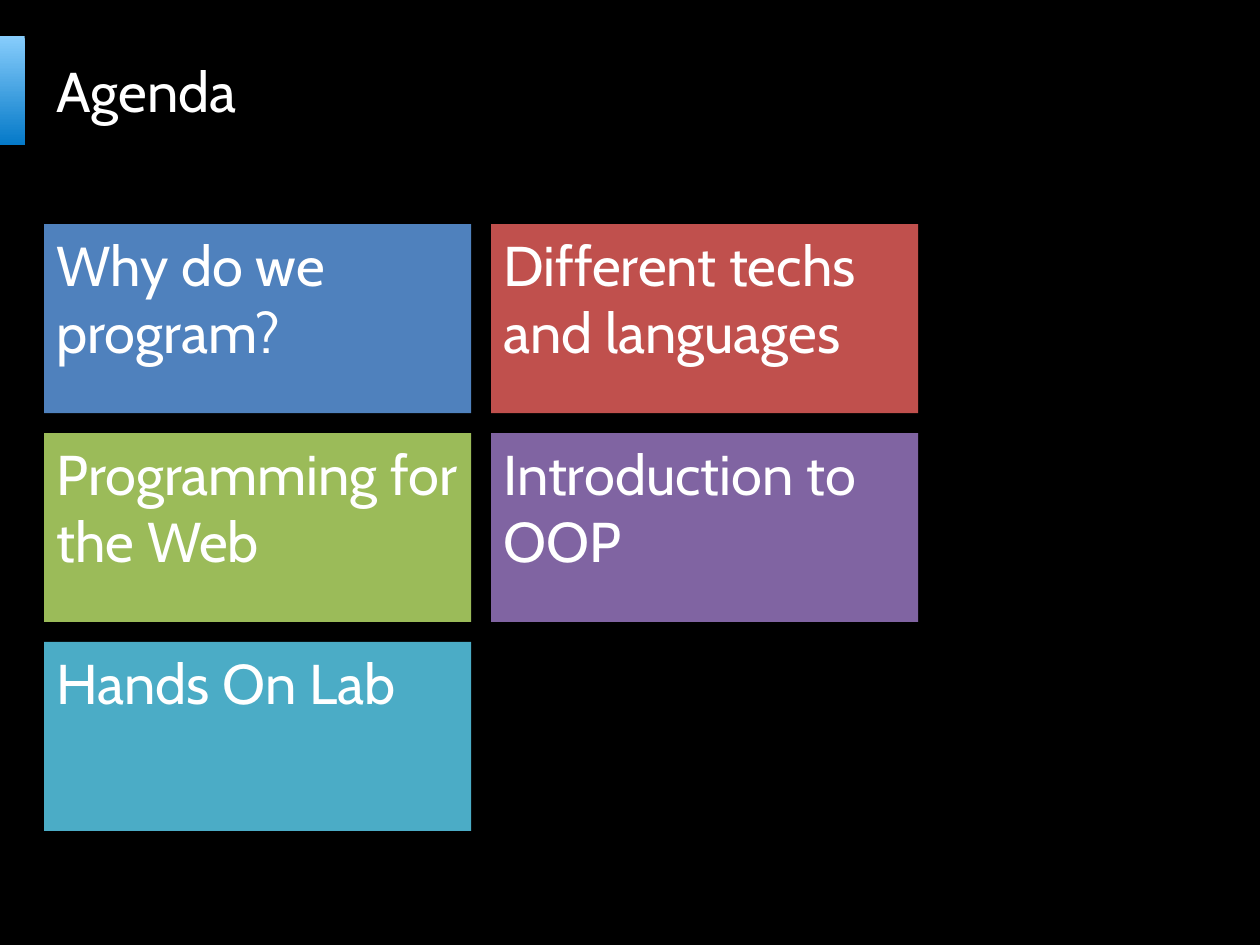
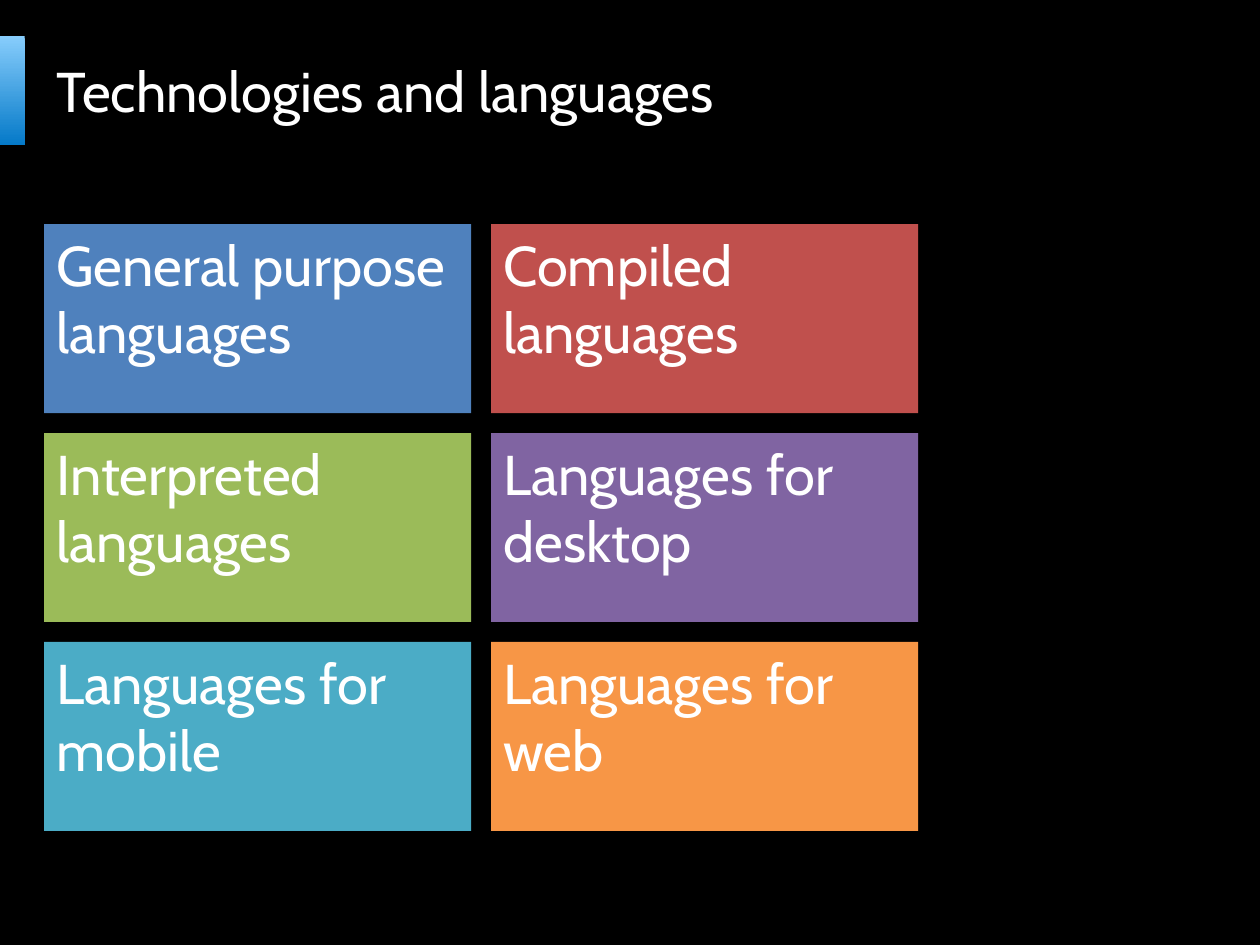
"""Builds two title slides with a grid of coloured tiles."""
import dataclasses

import pptx
import pptx.dml.color
import pptx.enum.shapes
import pptx.enum.text
import pptx.util

Cm = pptx.util.Cm
RGB = pptx.dml.color.RGBColor.from_string

SLIDES = [
    ("Agenda", [
        "Why do we program?",
        "Different techs and languages",
        "Programming for the Web",
        "Introduction to OOP",
        "Hands On Lab",
    ]),
    ("Technologies and languages", [
        "General purpose languages",
        "Compiled languages",
        "Interpreted languages",
        "Languages for desktop",
        "Languages for mobile",
        "Languages for web",
    ]),
]


@dataclasses.dataclass(frozen=True)
class Theme:
    font: str = "Cabin"
    size: int = 32
    ink: str = "FFFFFF"
    back: str = "000000"
    band: tuple = ("87CDFC", "0479C8")
    tiles: tuple = ("4F81BD", "C0504D", "9BBB59", "8064A2", "4BACC6", "F79646")


THEME = Theme()
LEFT, TOP = 0.89, 4.52
WIDE, HIGH, GAP = 8.61, 3.81, 0.4
COLS = 2


def write(shape, text, anchor):
    frame = shape.text_frame
    frame.text = text
    frame.word_wrap = True
    frame.vertical_anchor = anchor
    para = frame.paragraphs[0]
    para.alignment = pptx.enum.text.PP_ALIGN.LEFT
    para.font.name = THEME.font
    para.font.size = pptx.util.Pt(THEME.size)
    para.font.color.rgb = RGB(THEME.ink)


def add_box(slide, left, top, wide, high):
    box = slide.shapes.add_shape(
        pptx.enum.shapes.MSO_SHAPE.RECTANGLE,
        Cm(left), Cm(top), Cm(wide), Cm(high))
    box.shadow.inherit = False
    box.line.fill.background()
    return box


def add_band(slide):
    fill = add_box(slide, 0, 0.73, 0.5, 2.2).fill
    fill.gradient()
    fill.gradient_angle = 270
    for stop, tone in zip(fill.gradient_stops, THEME.band):
        stop.color.rgb = RGB(tone)
        stop.position = THEME.band.index(tone)


def add_title(slide, text):
    title = slide.shapes.title
    title.left, title.top = Cm(LEFT), Cm(0.74)
    title.width, title.height = Cm(18), Cm(2.16)
    write(title, text, pptx.enum.text.MSO_ANCHOR.MIDDLE)


def add_tiles(slide, topics):
    for spot, (topic, tone) in enumerate(zip(topics, THEME.tiles)):
        row, col = divmod(spot, COLS)
        tile = add_box(slide, LEFT + col * (WIDE + GAP),
                       TOP + row * (HIGH + GAP), WIDE, HIGH)
        tile.fill.solid()
        tile.fill.fore_color.rgb = RGB(tone)
        write(tile, topic, pptx.enum.text.MSO_ANCHOR.TOP)


def main():
    deck = pptx.Presentation()
    deck.slide_width, deck.slide_height = Cm(25.4), Cm(19.05)
    back = deck.slide_master.background.fill
    back.solid()
    back.fore_color.rgb = RGB(THEME.back)
    for title, topics in SLIDES:
        slide = deck.slides.add_slide(deck.slide_layouts.get_by_name("Title Only"))
        add_band(slide)
        add_title(slide, title)
        add_tiles(slide, topics)
    deck.save("out.pptx")


if __name__ == "__main__":
    main()
